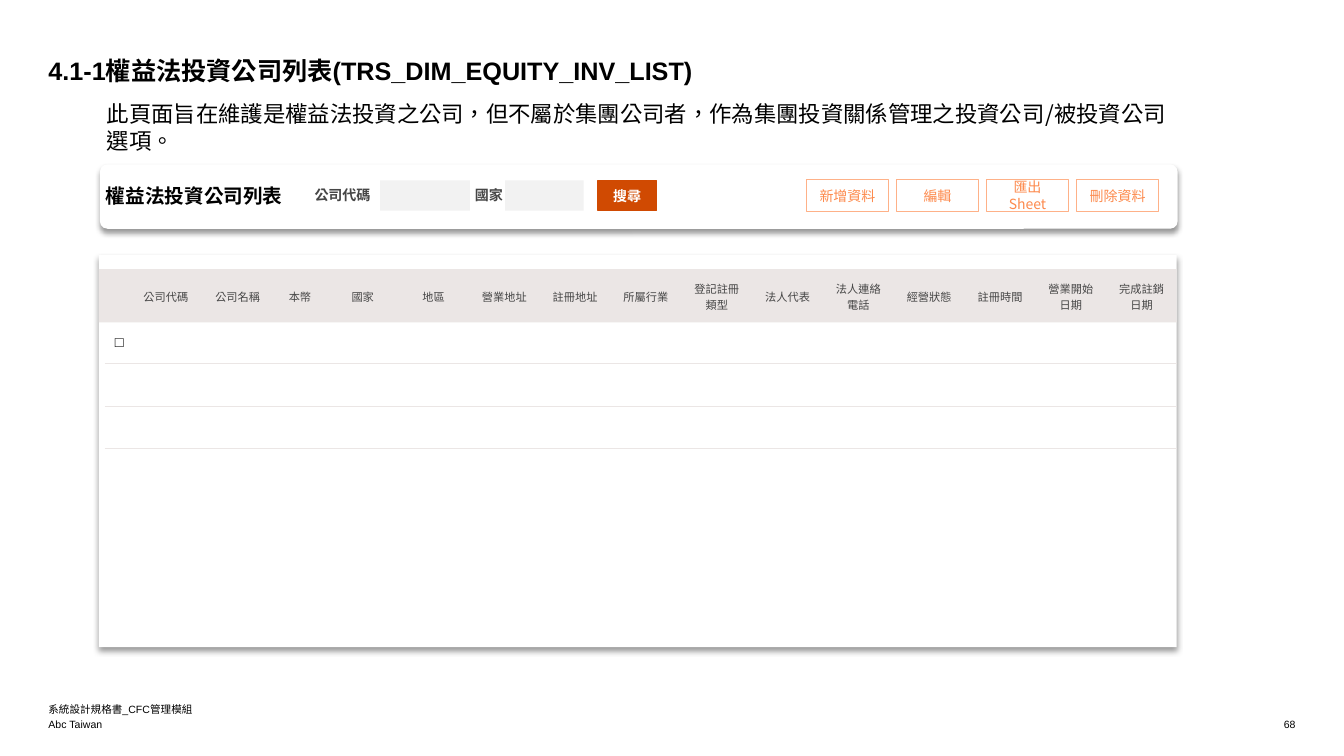
import pptx
import pptx.util
import pptx.dml.color
import pptx.enum.shapes
import pptx.enum.text
import pptx.oxml
import pptx.oxml.ns

SHAPE = pptx.enum.shapes.MSO_SHAPE
ALIGN = pptx.enum.text.PP_ALIGN
ANCHOR = pptx.enum.text.MSO_ANCHOR
CJK = "Noto Sans CJK SC"
BLACK, GREY, WHITE = "000000", "464646", "FFFFFF"
FIELD, BAND, ORANGE = "F2F2F2", "EBE6E5", "D04A02"
PEACH_LINE, PEACH_TEXT = "FEB188", "FD8A4D"

TITLE = "4.1-1權益法投資公司列表(TRS_DIM_EQUITY_INV_LIST)"
INTRO = ("此頁面旨在維護是權益法投資之公司，但不屬於集團公司者，"
         "作為集團投資關係管理之投資公司/被投資公司選項。")
HEADERS = ["", "公司代碼", "公司名稱", "本幣", "國家", "地區", "營業地址", "註冊地址",
           "所屬行業", "登記註冊類型", "法人代表", "法人連絡電話", "經營狀態",
           "註冊時間", "營業開始日期", "完成註銷日期"]
BUTTONS = ["新增資料", "編輯", "匯出Sheet", "刪除資料"]
HEADING = dict(size=14, bold=True)
LABEL = dict(size=10, bold=True, color=GREY)
SMALL = dict(size=7.5, anchor=ANCHOR.BOTTOM)
# text, (left, top, width, height), format
TEXTS = [
    ("Abc Taiwan", (0.48, 7.1, 5.99, 0.15), SMALL),
    ("系統設計規格書_CFC管理模組", (0.48, 6.95, 5.99, 0.15), SMALL),
    ("68", (10.92, 7.1, 1.93, 0.15), dict(SMALL, align=ALIGN.RIGHT)),
    (INTRO, (1.06, 0.99, 10.69, 0.54), dict(size=16, font=CJK)),
    ("權益法投資公司列表", (1.05, 1.82, 2.25, 0.24), HEADING),
    ("公司代碼", (3.12, 1.85, 0.6, 0.17), LABEL),
    ("國家", (4.71, 1.85, 0.41, 0.17), LABEL),
]
FIELDS = [(3.77, 1.79, 0.89, 0.3), (5.01, 1.79, 0.78, 0.3)]
FIRST_COLS, OTHER_COL = [0.23, 0.73, 0.69, 0.54], 0.7
ROWS = [0.5, 0.42, 0.42, 0.42]
TABLE_AT = (1.04, 2.69, 10.63, sum(ROWS))
BUTTON_AT, BUTTON_STEP = (8, 1.78, 0.81, 0.32), 0.893


def rgb(value):
    return pptx.dml.color.RGBColor.from_string(value)


def inches(box):
    return [pptx.util.Inches(v) for v in box]


def write(tf, text, size, color=BLACK, bold=False, font="Arial",
          align=ALIGN.LEFT, anchor=ANCHOR.TOP, margin=0):
    tf.word_wrap = True
    tf.vertical_anchor = anchor
    if margin is not None:
        for side in ("left", "right", "top", "bottom"):
            setattr(tf, "margin_" + side, pptx.util.Inches(margin))
    p = tf.paragraphs[0]
    p.alignment = align
    r = p.add_run()
    r.text = text
    for name, value in dict(size=pptx.util.Pt(size), bold=bold, name=font).items():
        setattr(r.font, name, value)
    r.font.color.rgb = rgb(color)
    rpr = r._r.get_or_add_rPr()
    rpr.set("lang", "zh-TW")
    ea = pptx.oxml.parse_xml(f'<a:ea {pptx.oxml.ns.nsdecls("a")} typeface="{CJK}"/>')
    rpr.find(pptx.oxml.ns.qn("a:latin")).addnext(ea)


def add_box(s, box, fill, line=None, kind=SHAPE.RECTANGLE):
    sp = s.shapes.add_shape(kind, *inches(box))
    sp.shadow.inherit = False
    sp.fill.solid()
    sp.fill.fore_color.rgb = rgb(fill)
    if line:
        sp.line.color.rgb = rgb(line)
        sp.line.width = pptx.util.Pt(1)
    else:
        sp.line.fill.background()
    return sp


def add_card(s, box, kind, adjustment):
    """White panel with a soft shadow below it."""
    sp = add_box(s, box, WHITE, kind=kind)
    sp.adjustments[0] = adjustment
    effects = sp._element.spPr.find(pptx.oxml.ns.qn("a:effectLst"))
    effects.append(pptx.oxml.parse_xml(
        f'<a:outerShdw {pptx.oxml.ns.nsdecls("a")} blurRad="50800" dist="38100" '
        'dir="5400000" algn="t" rotWithShape="0"><a:srgbClr val="000000">'
        '<a:alpha val="40000"/></a:srgbClr></a:outerShdw>'))


def add_button(s, box, text, fill, line, **fmt):
    sp = add_box(s, box, fill, line)
    write(sp.text_frame, text, 10, align=ALIGN.CENTER, anchor=ANCHOR.MIDDLE,
          margin=None, **fmt)


def set_borders(cell):
    """Rules above and below only."""
    tcpr = cell._tc.get_or_add_tcPr()
    solid = f'<a:solidFill><a:srgbClr val="{BAND}"/></a:solidFill>'
    for side, paint in zip("LRTB", ("<a:noFill/>", "<a:noFill/>", solid, solid)):
        tcpr.append(pptx.oxml.parse_xml(
            f'<a:ln{side} {pptx.oxml.ns.nsdecls("a")} w="12700">{paint}</a:ln{side}>'))
    cell.fill.background()


def add_company_table(s):
    table = s.shapes.add_table(len(ROWS), len(HEADERS), *inches(TABLE_AT)).table
    table.first_row = table.horz_banding = False
    widths = FIRST_COLS + [OTHER_COL] * (len(HEADERS) - len(FIRST_COLS))
    scale = TABLE_AT[2] / sum(widths)
    for col, width in zip(table.columns, widths):
        col.width = pptx.util.Inches(width * scale)
    for row, height in zip(table.rows, ROWS):
        row.height = pptx.util.Inches(height)
    for cell in table.iter_cells():
        set_borders(cell)
        cell.vertical_anchor = ANCHOR.MIDDLE
    for i, header in enumerate(HEADERS):
        if header:
            write(table.cell(0, i).text_frame, header, 8, GREY, align=ALIGN.CENTER,
                  anchor=None, margin=None)
    write(table.cell(1, 0).text_frame, "□", 10.5, anchor=None, margin=None)


def main():
    prs = pptx.Presentation()
    prs.slide_width, prs.slide_height = inches((13.33, 7.5))
    s = prs.slides.add_slide(prs.slide_layouts[5])
    title = s.shapes.title
    title.left, title.top, title.width, title.height = inches((0.48, 0.55, 7.79, 0.3))
    write(title.text_frame, TITLE, 18, bold=True)

    add_card(s, (0.99, 1.63, 10.69, 0.64), SHAPE.ROUNDED_RECTANGLE, 0.12)
    add_card(s, (0.98, 2.53, 10.69, 3.89), SHAPE.ROUND_2_SAME_RECTANGLE, 0)
    add_box(s, (0.98, 2.67, 10.69, 0.53), BAND)
    add_company_table(s)

    for text, box, fmt in TEXTS:
        write(s.shapes.add_textbox(*inches(box)).text_frame, text, **fmt)
    for box in FIELDS:
        add_box(s, box, FIELD)
    add_button(s, (5.93, 1.79, 0.58, 0.3), "搜尋", ORANGE, ORANGE, color=WHITE, bold=True)
    left, top, width, height = BUTTON_AT
    for i, text in enumerate(BUTTONS):
        add_button(s, (left + i * BUTTON_STEP, top, width, height), text,
                   WHITE, PEACH_LINE, color=PEACH_TEXT, font=CJK)
    prs.save("out.pptx")


if __name__ == "__main__":
    main()
